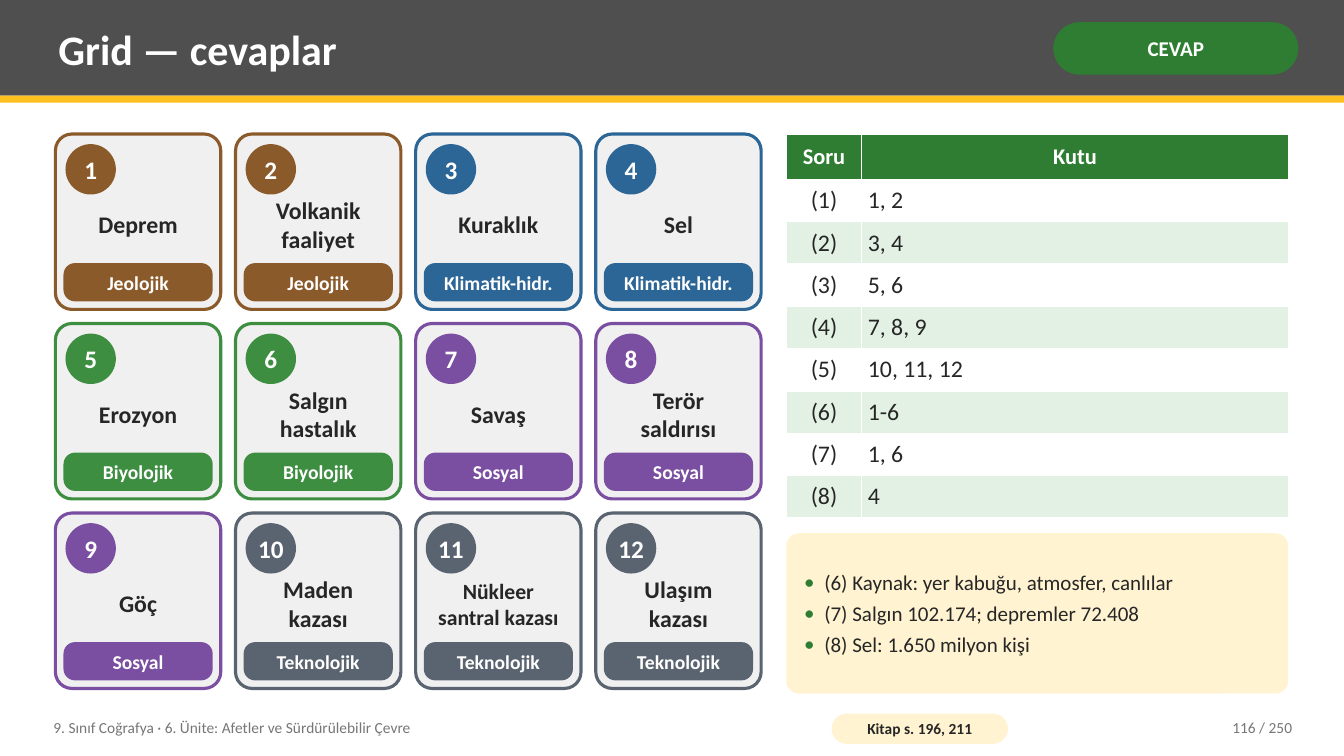
from lxml import etree
from pptx import Presentation
from pptx import util as u
from pptx.dml.color import RGBColor
from pptx.enum import shapes, text
from pptx.oxml.ns import qn

LEFT, CENTER, RIGHT = text.PP_ALIGN.LEFT, text.PP_ALIGN.CENTER, text.PP_ALIGN.RIGHT
RECT = shapes.MSO_SHAPE.RECTANGLE
ROUND = shapes.MSO_SHAPE.ROUNDED_RECTANGLE
OVAL = shapes.MSO_SHAPE.OVAL

WHITE, INK, MUTED = "FFFFFF", "262626", "767676"
GREEN, CREAM, MINT = "2E7D32", "FFF3D1", "E3F1E4"
GROUP_COLORS = {
    "Jeolojik": "8B5A2B",
    "Klimatik-hidr.": "2C6696",
    "Biyolojik": "3E8E41",
    "Sosyal": "7A4EA0",
    "Teknolojik": "5A6470",
}
HAZARDS = [
    ("Deprem", "Jeolojik"),
    ("Volkanik faaliyet", "Jeolojik"),
    ("Kuraklık", "Klimatik-hidr."),
    ("Sel", "Klimatik-hidr."),
    ("Erozyon", "Biyolojik"),
    ("Salgın hastalık", "Biyolojik"),
    ("Savaş", "Sosyal"),
    ("Terör saldırısı", "Sosyal"),
    ("Göç", "Sosyal"),
    ("Maden kazası", "Teknolojik"),
    ("Nükleer santral kazası", "Teknolojik"),
    ("Ulaşım kazası", "Teknolojik"),
]
ANSWERS = ["1, 2", "3, 4", "5, 6", "7, 8, 9", "10, 11, 12", "1-6", "1, 6", "4"]
NOTES = [
    "(6) Kaynak: yer kabuğu, atmosfer, canlılar",
    "(7) Salgın 102.174; depremler 72.408",
    "(8) Sel: 1.650 milyon kişi",
]


def color(code):
    return RGBColor.from_string(code)


def grid(cells):
    return u.Inches(cells / 10)


class Slide:
    """Draw styled elements on one page, measured in grid cells of a tenth of an inch."""

    font = "Calibri"
    columns, rows = 133.33, 75

    def __init__(self, deck):
        deck.slide_width, deck.slide_height = grid(self.columns), grid(self.rows)
        self.page = deck.slides.add_slide(deck.slide_layouts[1])

    def style(self, para, size, ink, bold=False, align=LEFT):
        para.alignment = align
        para.font.name = self.font
        para.font.size = u.Pt(size)
        para.font.bold = bold
        para.font.color.rgb = color(ink)

    def frame(self, box, insets=(0.8, 0.4), wrap=True):
        frame = box.text_frame
        frame.auto_size = text.MSO_AUTO_SIZE.NONE
        frame.word_wrap = wrap
        frame.vertical_anchor = text.MSO_ANCHOR.MIDDLE
        frame.margin_left = frame.margin_right = grid(insets[0])
        frame.margin_top = frame.margin_bottom = grid(insets[1])
        return frame

    def put_text(self, box, words, size, ink, bold=False, align=LEFT, **layout):
        frame = self.frame(box, **layout)
        frame.text = words
        self.style(frame.paragraphs[0], size, ink, bold, align)

    def shape(self, kind, at, fill, line=None, radius=None):
        box = self.page.shapes.add_shape(kind, *map(grid, at))
        box.shadow.inherit = False
        box.fill.solid()
        box.fill.fore_color.rgb = color(fill)
        if line:
            box.line.color.rgb = color(line)
            box.line.width = u.Pt(2.25)
        else:
            box.line.fill.background()
        if radius is not None:
            box.adjustments[0] = radius
        return box

    def label(self, at, words, size, ink, **style):
        box = self.page.shapes.add_textbox(*map(grid, at))
        self.put_text(box, words, size, ink, **style)

    def pill(self, at, words, size, fill, ink=WHITE, radius=0.5, insets=(0.4, 0)):
        box = self.shape(ROUND, at, fill, radius=radius)
        self.put_text(box, words, size, ink, bold=True, align=CENTER, insets=insets)

    def place(self, box, at):
        box.left, box.top, box.width, box.height = map(grid, at)
        tree = box.element.getparent()
        tree.remove(box.element)
        tree.append(box.element)

    def title(self, at, words):
        box = self.page.shapes.title
        self.place(box, at)
        self.put_text(box, words, 30, WHITE, bold=True)

    def bullets(self, at, lines):
        self.shape(ROUND, at, CREAM, radius=0.08)
        box = self.page.placeholders[1]
        self.place(box, at)
        frame = self.frame(box, insets=(1.77, 0.8))
        frame.text = "\n".join(lines)
        for para in frame.paragraphs:
            props = para._p.get_or_add_pPr()
            props.set("marL", str(grid(2)))
            props.set("indent", str(-grid(2)))
            tint = etree.SubElement(props, qn("a:buClr"))
            etree.SubElement(tint, qn("a:srgbClr"), val=GREEN)
            etree.SubElement(props, qn("a:buFont"), typeface=self.font)
            etree.SubElement(props, qn("a:buChar"), char="•")
            para.space_before = u.Pt(0)
            para.space_after = u.Pt(4)
            self.style(para, 15, INK)
        frame.paragraphs[-1].space_after = u.Pt(0)

    def card(self, column, row, number, name, group):
        tint = GROUP_COLORS[group]
        left, top = 5.5 + 17.87 * column, 13.3 + 18.8 * row
        self.shape(ROUND, (left, top, 16.4, 17.4), "F0F0F0", tint, 0.1)
        badge = self.shape(OVAL, (left + 1, top + 1, 5, 5), tint)
        self.put_text(badge, str(number), 18, WHITE, True, CENTER, insets=(0, 0), wrap=False)
        size = 15.5 if len(name) > 20 else 17
        self.label((left + 1.2, top + 5.5, 14, 6.9), name, size, INK, bold=True, align=CENTER)
        self.pill((left + 0.8, top + 12.8, 14.8, 3.8), group, 14, tint,
                  radius=0.3, insets=(0.3, 0))

    def table(self, at, widths, heights, records):
        holder = self.page.shapes.add_table(len(records), len(widths), *map(grid, at))
        table = holder.table
        table.first_row = table.horz_banding = False
        for column, width in zip(table.columns, widths):
            column.width = grid(width)
        for index, (row, height, record) in enumerate(zip(table.rows, heights, records)):
            row.height = grid(height)
            head = index == 0
            fill = GREEN if head else (MINT, WHITE)[index % 2]
            for place, (cell, words) in enumerate(zip(row.cells, record)):
                cell.fill.solid()
                cell.fill.fore_color.rgb = color(fill)
                cell.vertical_anchor = text.MSO_ANCHOR.MIDDLE
                cell.margin_left = cell.margin_right = grid(0.6)
                cell.margin_top = cell.margin_bottom = grid(0.5)
                cell.text = words
                align = CENTER if head or place == 0 else LEFT
                self.style(cell.text_frame.paragraphs[0], 16 if head else 17,
                           WHITE if head else INK, head, align)


def main():
    deck = Presentation()
    slide = Slide(deck)
    slide.shape(RECT, (0, 0, slide.columns, 9.5), "4F4F4F")
    slide.shape(RECT, (0, 9.5, slide.columns, 0.7), "FCC021")
    slide.title((5, 0.7, 97.5, 8.2), "Grid — cevaplar")
    slide.pill((104.5, 2.2, 24.3, 5.2), "CEVAP", 15, GREEN, insets=(0.5, 0.2))

    for index, (name, group) in enumerate(HAZARDS):
        row, column = divmod(index, 4)
        slide.card(column, row, index + 1, name, group)

    records = [("Soru", "Kutu")]
    records += [(f"({number})", answer) for number, answer in enumerate(ANSWERS, 1)]
    heights = [4.5] + [4.2] * len(ANSWERS)
    slide.table((78, 13.3, 49.8, sum(heights)), (7.5, 42.3), heights, records)
    slide.bullets((78, 52.9, 49.8, 15.9), NOTES)

    slide.label((4.5, 70.4, 76, 3.6),
                "9. Sınıf Coğrafya · 6. Ünite: Afetler ve Sürdürülebilir Çevre", 11, MUTED)
    slide.pill((82.5, 70.8, 17.5, 3), "Kitap s. 196, 211", 11, CREAM, INK)
    slide.label((113, 70.4, 16, 3.6), "116 / 250", 11, MUTED, align=RIGHT)
    deck.save("out.pptx")


if __name__ == "__main__":
    main()
